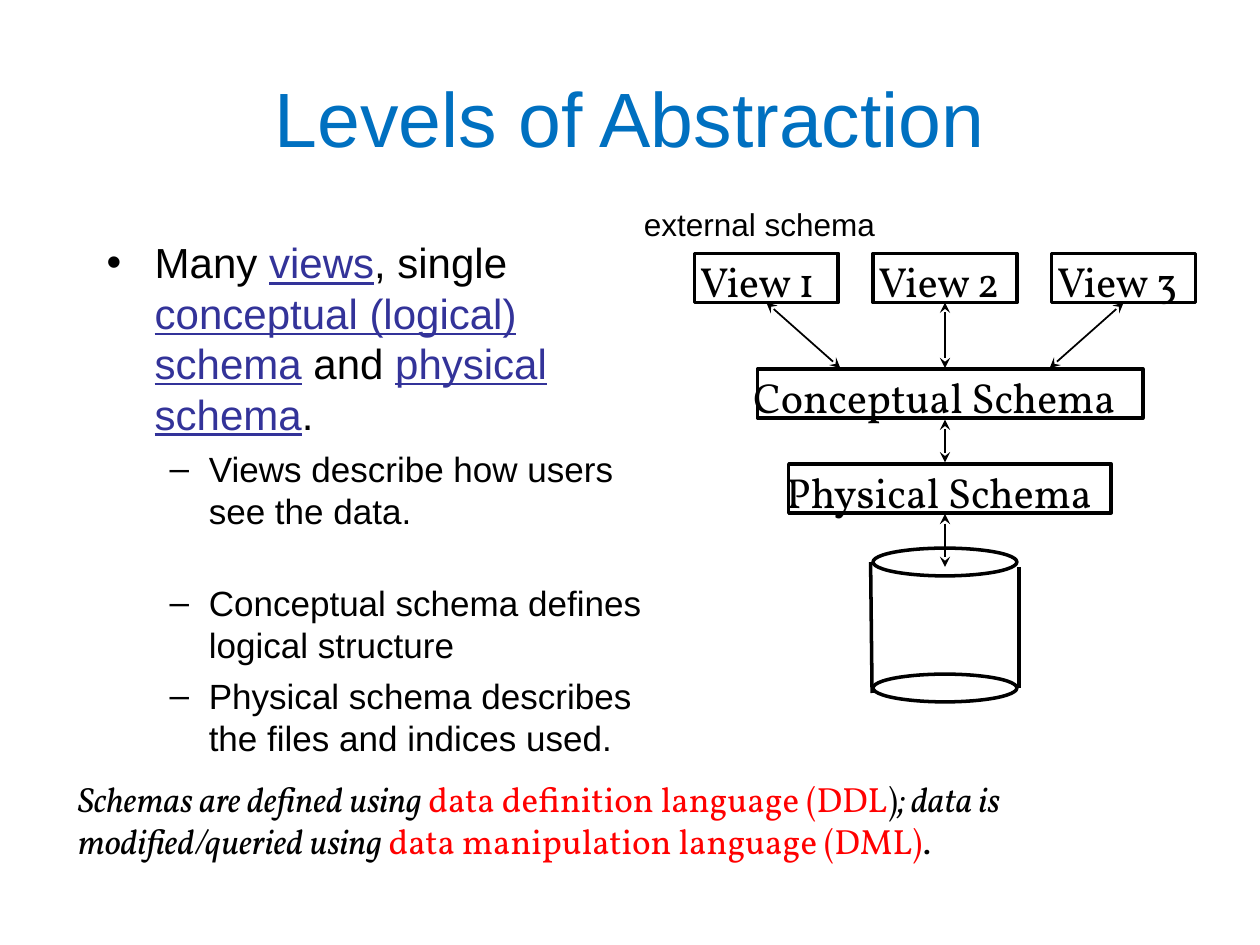
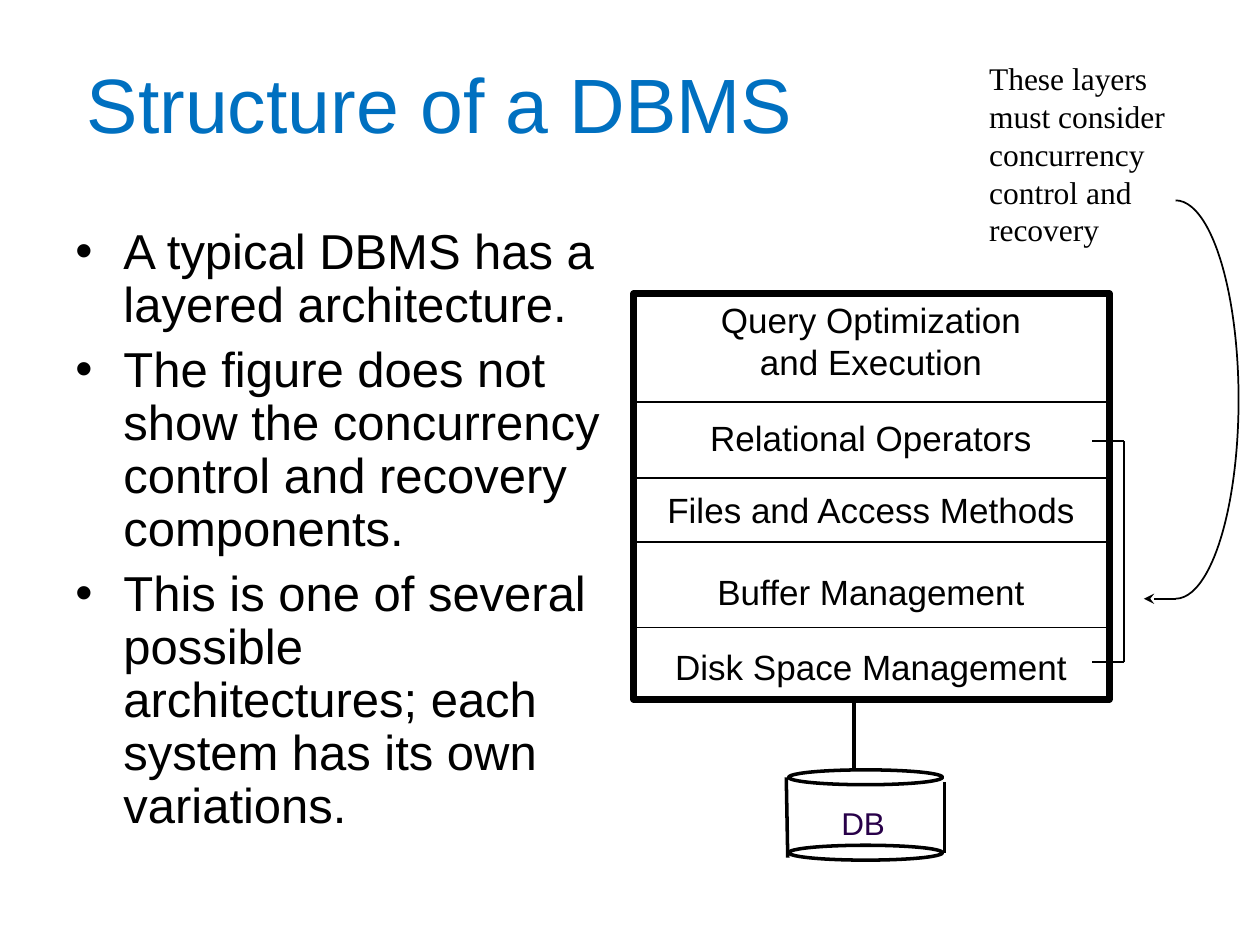
from dataclasses import dataclass
from typing import NamedTuple, Optional

from lxml import etree
from pptx import Presentation
from pptx.dml.color import RGBColor
from pptx.enum import shapes, text
from pptx.oxml.ns import qn
from pptx.util import Cm, Pt

BLACK = RGBColor(0x00, 0x00, 0x00)
TITLE_BLUE = RGBColor(0x00, 0x70, 0xC0)
TERM_INDIGO = RGBColor(0x33, 0x33, 0x99)
LANGUAGE_RED = RGBColor(0xFF, 0x00, 0x00)
DISK_PURPLE = RGBColor(0x28, 0x00, 0x49)

SANS, SERIF, BOOK = "Arial", "Times New Roman", "Vollkorn"
LEFT, CENTER = text.PP_ALIGN.LEFT, text.PP_ALIGN.CENTER


class Area(NamedTuple):
    """A rectangle in centimetres."""
    left: float
    top: float
    width: float
    height: float

    def lengths(self) -> list:
        return [Cm(value) for value in self]


class Run(NamedTuple):
    words: str
    color: RGBColor = BLACK
    italic: bool = False
    underline: bool = False


class Style(NamedTuple):
    size: float
    face: str = SANS
    align: text.PP_ALIGN = LEFT


class Bullet(NamedTuple):
    mark: str
    level: int
    margin: float
    hanging: float
    size: float
    before: float
    spacing: float = 1.0


@dataclass
class Item:
    runs: list
    bullet: Bullet
    after: float = 0


@dataclass
class Schema:
    """A framed level whose label has its own left edge and width."""
    label: str
    label_left: float
    label_width: float
    frame: Area


@dataclass
class Layer:
    lines: list
    top: float
    width: float
    height: float = 1.09


@dataclass
class Disk:
    rim: Area
    depth: float


POINT = Bullet("•", 0, 0.97, 0.97, 24, 6)
SUBPOINT = Bullet("–", 1, 2.06, 0.79, 20, 5)
LARGE_POINT = Bullet("•", 0, 0.97, 0.97, 28, 7, 0.9)

TITLE = Style(44, SANS, CENTER)
SCHEMA = Style(24, BOOK)
LAYER = Style(20, SANS, CENTER)
CAPTION = Style(18)


def write(paragraph, runs: list, style: Style) -> None:
    paragraph.alignment = style.align
    for run in runs:
        piece = paragraph.add_run()
        piece.text = run.words
        looks = {"name": style.face, "size": Pt(style.size),
                 "italic": run.italic, "underline": run.underline}
        for key, value in looks.items():
            setattr(piece.font, key, value)
        piece.font.color.rgb = run.color


def set_title(slide, words: str, area: Area) -> None:
    title = slide.shapes.title
    for key, value in zip(("left", "top", "width", "height"), area.lengths()):
        setattr(title, key, value)
    title.text_frame.vertical_anchor = text.MSO_ANCHOR.MIDDLE
    write(title.text_frame.paragraphs[0], [Run(words, TITLE_BLUE)], TITLE)


def paragraphs_of(frame, count: int) -> list:
    return [frame.paragraphs[0]] + [frame.add_paragraph() for _ in range(count - 1)]


def add_label(slide, lines: list, area: Area, style: Style) -> None:
    """Unwrapped text; each line is a list of runs."""
    frame = slide.shapes.add_textbox(*area.lengths()).text_frame
    frame.word_wrap = False
    frame.auto_size = text.MSO_AUTO_SIZE.SHAPE_TO_FIT_TEXT
    for paragraph, runs in zip(paragraphs_of(frame, len(lines)), lines):
        write(paragraph, runs, style)


def add_bullets(slide, items: list, area: Area) -> None:
    frame = slide.shapes.add_textbox(*area.lengths()).text_frame
    frame.word_wrap = True
    for paragraph, item in zip(paragraphs_of(frame, len(items)), items):
        bullet = item.bullet
        looks = {"level": bullet.level, "space_before": Pt(bullet.before),
                 "space_after": Pt(item.after), "line_spacing": bullet.spacing}
        for key, value in looks.items():
            setattr(paragraph, key, value)
        write(paragraph, item.runs, Style(bullet.size))
        properties = paragraph._p.get_or_add_pPr()
        properties.set("marL", str(Cm(bullet.margin)))
        properties.set("indent", str(-Cm(bullet.hanging)))
        etree.SubElement(properties, qn("a:buFont")).set("typeface", SANS)
        etree.SubElement(properties, qn("a:buChar")).set("char", bullet.mark)


def add_outline(slide, kind, area: Area, weight: float = 2):
    outline = slide.shapes.add_shape(kind, *area.lengths())
    outline.shadow.inherit = False
    outline.fill.background()
    outline.line.color.rgb = BLACK
    outline.line.width = Pt(weight)
    return outline


def add_line(slide, start: tuple, end: tuple, weight: float = 1,
             arrows: tuple = (), upper: Optional[object] = None) -> None:
    """Straight line; arrows lists "headEnd" and "tailEnd" as needed, and
    upper is a box whose bottom side the line starts from."""
    line = slide.shapes.add_connector(
        shapes.MSO_CONNECTOR.STRAIGHT, *(Cm(value) for value in start + end))
    if upper is not None:
        line.begin_connect(upper, 2)
    line.line.color.rgb = BLACK
    line.line.width = Pt(weight)
    for arrow in arrows:
        etree.SubElement(line.line._get_or_add_ln(), qn(f"a:{arrow}")).set("type", "stealth")
    etree.SubElement(line._element.spPr, qn("a:effectLst"))


def add_disk(slide, disk: Disk) -> None:
    left, top, width, height = disk.rim
    for rim_top in (top, top + disk.depth):
        add_outline(slide, shapes.MSO_SHAPE.OVAL, Area(left, rim_top, width, height))
    upper = top + height / 2
    lower = upper + disk.depth
    add_line(slide, (left - 0.05, upper), (left - 0.02, lower + 0.1), 2)
    right = left + width + 0.04
    add_line(slide, (right, upper + 0.1), (right, lower), 2)


def add_schema(slide, schema: Schema):
    area = Area(schema.label_left, schema.frame.top - 0.08, schema.label_width, 1.27)
    add_label(slide, [[Run(schema.label)]], area, SCHEMA)
    return add_outline(slide, shapes.MSO_SHAPE.RECTANGLE, schema.frame)


def term(words: str) -> Run:
    return Run(words, TERM_INDIGO, underline=True)


def build_abstraction(slide) -> None:
    set_title(slide, "Levels of Abstraction", Area(1.27, 0.76, 22.86, 3.18))
    add_bullets(slide, [
        Item([Run("Many "), term("views"), Run(", single "),
              term("conceptual (logical) schema"), Run(" and "),
              term("physical schema"), Run(".")], POINT),
        Item([Run("Views describe how users see the data.")], SUBPOINT, after=24),
        Item([Run("Conceptual schema defines logical structure")], SUBPOINT),
        Item([Run("Physical schema describes the files and indices used.")], SUBPOINT),
    ], Area(1.9, 4.65, 11.43, 11.51))
    add_label(slide, [
        [Run("Schemas are defined using ", italic=True),
         Run("data definition language (DDL", LANGUAGE_RED), Run(")"),
         Run("; data is", italic=True)],
        [Run("modified/queried using ", italic=True),
         Run("data manipulation language (DML)", LANGUAGE_RED), Run(".")],
    ], Area(1.32, 15.54, 22.48, 1.96), Style(20, BOOK))

    add_disk(slide, Disk(Area(17.6, 11.05, 2.9, 0.56), 2.54))
    add_label(slide, [[Run("external schema")]], Area(12.73, 4.01, 5.16, 1.02), CAPTION)

    add_schema(slide, Schema("Conceptual Schema", 14.94, 8.41, Area(15.27, 7.44, 7.77, 0.99)))
    add_schema(slide, Schema("Physical Schema", 15.6, 7.21, Area(15.9, 9.35, 6.5, 0.99)))

    both = ("headEnd", "tailEnd")
    middle, view_pitch, arrow_pitch = 19.05, 3.6, 2.11
    for number in (1, 2, 3):
        step = number - 2
        left = middle - 1.45 + step * view_pitch
        view = add_schema(slide, Schema(f"View {number}", left - 0.14, 3.23,
                                        Area(left, 5.11, 2.9, 0.99)))
        add_line(slide, (middle + step * view_pitch, 6.1),
                 (middle + step * arrow_pitch, 7.42), arrows=both, upper=view)
    for top, bottom in ((8.46, 9.32), (10.36, 11.43)):
        add_line(slide, (middle, top), (middle, bottom), arrows=both)


def build_structure(slide) -> None:
    set_title(slide, "Structure of a DBMS", Area(1.47, 0.76, 14.81, 2.64))
    claims = ("A typical DBMS has a layered architecture.",
              "The figure does not show the concurrency control and recovery components.",
              "This is one of several possible architectures; each system has its own variations.")
    add_bullets(slide, [Item([Run(claim)], LARGE_POINT) for claim in claims],
                Area(1.27, 4.45, 11.2, 12.57))

    layers = [
        Layer(["Query Optimization", "and Execution"], 5.89, 6.55, 1.96),
        Layer(["Relational Operators"], 8.28, 7.01),
        Layer(["Files and Access Methods"], 9.73, 8.76),
        Layer(["Buffer Management"], 11.38, 6.73),
        Layer(["Disk Space Management"], 12.88, 8.41),
    ]
    middle = 17.56
    for layer in layers:
        add_label(slide, [[Run(line)] for line in layer.lines],
                  Area(middle - layer.width / 2, layer.top, layer.width, layer.height), LAYER)
    add_outline(slide, shapes.MSO_SHAPE.RECTANGLE, Area(12.78, 5.92, 9.58, 8.18), 4)
    for divider in (8.1, 9.63, 10.92, 12.65):
        add_line(slide, (12.7, divider), (22.43, divider))

    add_disk(slide, Disk(Area(15.9, 15.52, 3.1, 0.3), 1.52))
    add_label(slide, [[Run("DB", DISK_PURPLE)]], Area(16.71, 16.08, 1.4, 1.02), CAPTION)
    add_line(slide, (17.22, 14.17), (17.22, 15.49), 2)

    inner, outer, upper, lower = 22.02, 22.66, 8.89, 13.34
    bracket = [(inner, upper), (outer, upper), (outer, lower), (inner, lower)]
    for start, end in zip(bracket, bracket[1:]):
        add_line(slide, start, end)

    remark = ("These layers", "must consider", "concurrency", "control and", "recovery")
    add_label(slide, [[Run(line)] for line in remark],
              Area(19.69, 1.07, 4.06, 4.06), Style(18, SERIF))
    sweep = add_outline(slide, shapes.MSO_SHAPE.ARC, Area(22.43, 4.04, 2.54, 8.03), 1)
    sweep.adjustments[0] = 162  # top, in units of 1/0.6 degree
    sweep.adjustments[1] = 54  # bottom
    add_line(slide, (23.7, 12.07), (23.06, 12.07), arrows=("tailEnd",))


def main() -> None:
    deck = Presentation()
    deck.slide_width, deck.slide_height = Cm(25.4), Cm(19.05)
    title_only = deck.slide_layouts[5]
    for build in (build_abstraction, build_structure):
        build(deck.slides.add_slide(title_only))
    deck.save("out.pptx")


if __name__ == "__main__":
    main()
